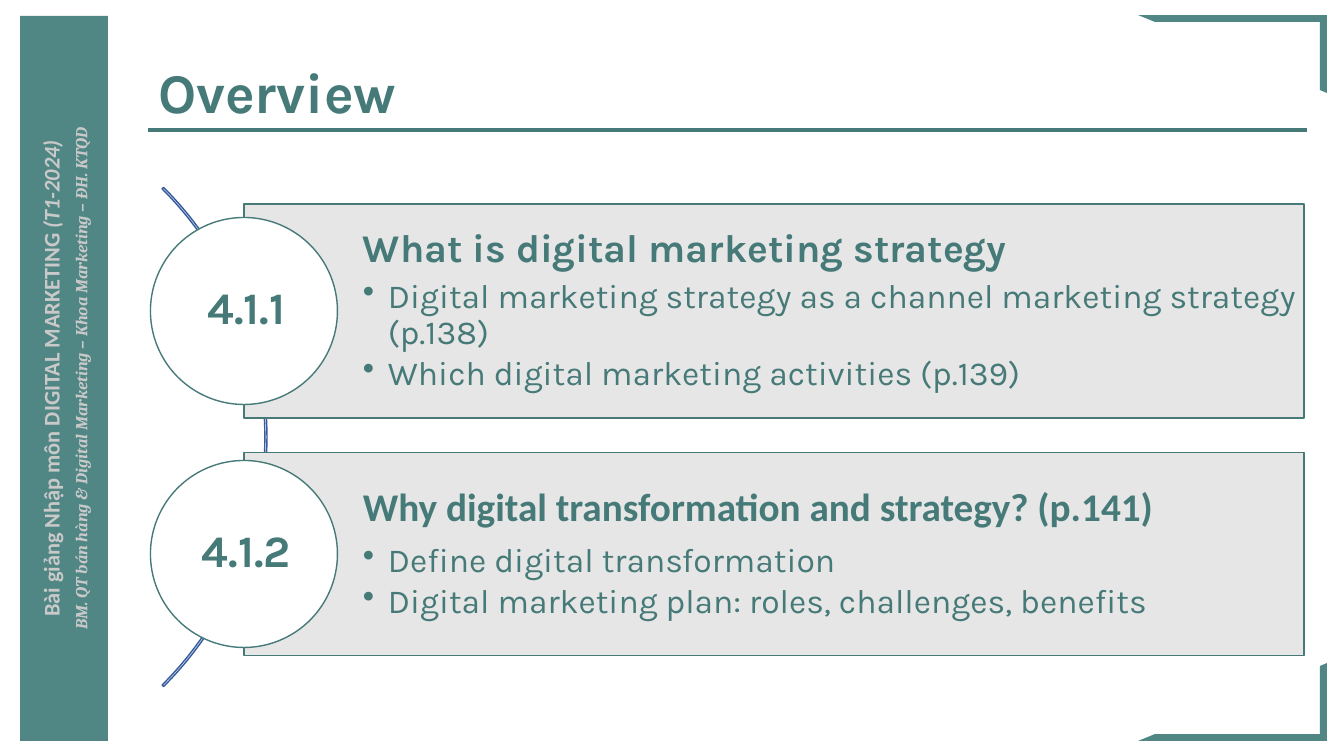
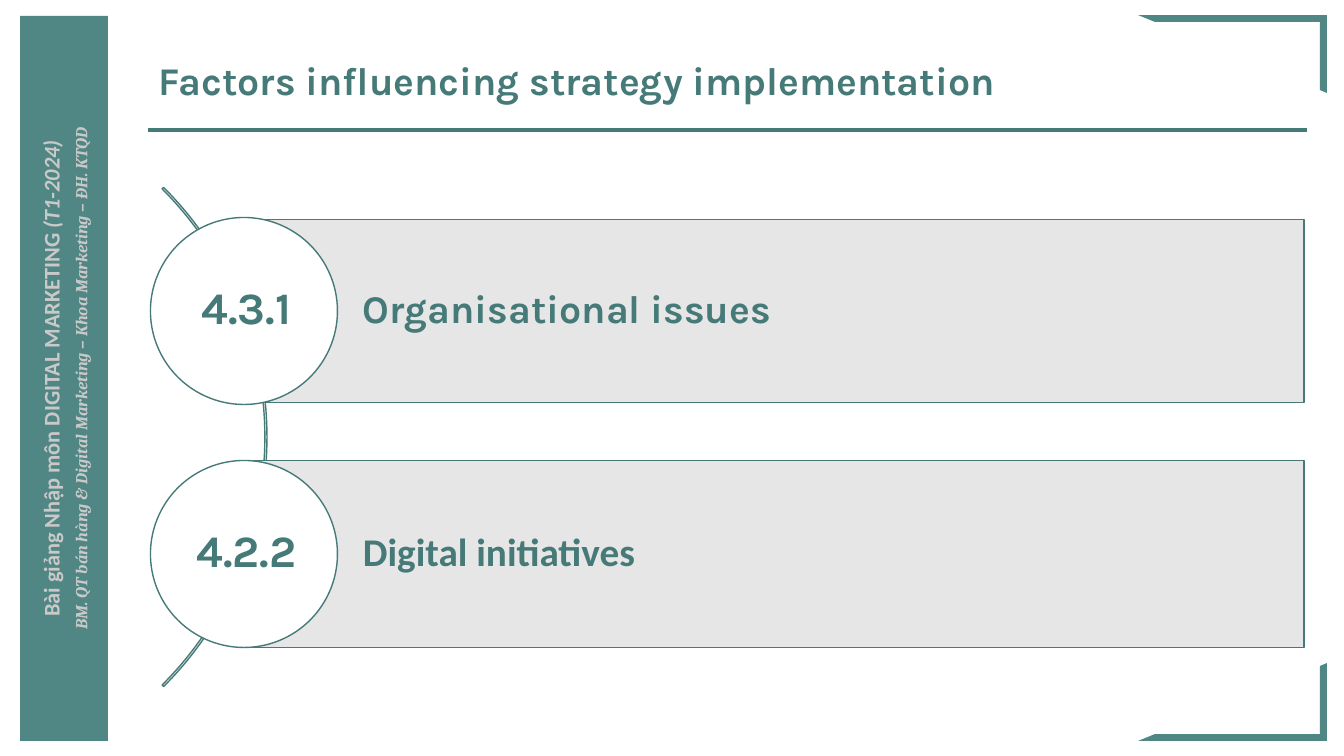
from dataclasses import dataclass

from lxml.etree import SubElement
from pptx import Presentation
from pptx.dml.color import RGBColor
from pptx.enum.shapes import MSO_CONNECTOR as Connector, MSO_SHAPE as Preset
from pptx.enum.text import MSO_ANCHOR as Anchor, MSO_AUTO_SIZE as AutoSize, PP_ALIGN as Align
from pptx.oxml.ns import qn
from pptx.util import Emu, Pt

# Content
BAND_LINES = [
    [("Bài giảng Nhập môn DIGITAL MARKETING ", "Calibri", 16, False),
     ("(T1-2024)", "Calibri", 16, True)],
    [("BM. QT bán hàng & Digital Marketing – Khoa Marketing – ĐH. KTQD",
      "Cambria", 12, True)],
]
PAGES = [
    {"title": "Overview", "title_size": 40, "title_top": 37, "arc": "365B9D", "cards": [
        {"number": "4.1.1", "height": 214, "font": "Karla", "after": Pt(5.8),
         "heading": "What is digital marketing strategy",
         "bullets": ["Digital marketing strategy as a channel marketing strategy (p.138)",
                     "Which digital marketing activities (p.139)"]},
        {"number": "4.1.2", "height": 203, "font": "Calibri", "after": 0.35,
         "heading": "Why digital transformation and strategy? (p.141)",
         "bullets": ["Define digital transformation",
                     "Digital marketing plan: roles, challenges, benefits"]},
    ]},
    {"title": "Factors influencing strategy implementation", "title_size": 28,
     "title_top": 25, "arc": "467A78", "cards": [
         {"number": "4.3.1", "height": 183, "font": "Karla", "after": 0.35,
          "heading": "Organisational issues", "bullets": []},
         {"number": "4.2.2", "height": 187, "font": "Calibri", "after": 0.35,
          "heading": "Digital initiatives", "bullets": []},
     ]},
]


@dataclass(frozen=True)
class Theme:
    band: str = "508784"
    accent: str = "467A78"
    card: str = "E7E6E6"
    white: str = "FFFFFF"
    band_text: str = "C9C9C9"
    font: str = "Karla"
    heading_size: int = 28
    bullet_size: int = 24
    number_size: int = 32
    outline: float = 1
    rule: float = 2.25


THEME = Theme()

# Layout in px
PAGE_WIDTH, PAGE_HEIGHT = 1344, 756
CONTENT_LEFT, CONTENT_RIGHT = 148, 1307
RULE_TOP, TITLE_HEIGHT = 130, 116
CARD_LEFT, CARD_WIDTH = 244, 1060
CARD_CENTRES = [311, 554]
CARD_INSETS = (119, 8, 8, 8)
CIRCLE = 187
NUMBER_LEFT, NUMBER_RISE, NUMBER_WIDTH, NUMBER_HEIGHT = 179, 36, 135, 65
BULLET_INDENT = 25


def px(length):
    return Emu(round(length * 914400 / 100.8))


def rgb(colour):
    return RGBColor.from_string(colour)


def add_box(page, preset, place, fill=None, line=None, adjust=()):
    box = page.shapes.add_shape(preset, *map(px, place))
    box.shadow.inherit = False
    if fill:
        box.fill.solid()
        box.fill.fore_color.rgb = rgb(fill)
    else:
        box.fill.background()
    if line:
        box.line.color.rgb = rgb(line)
        box.line.width = Pt(THEME.outline)
    else:
        box.line.fill.background()
    for index, value in enumerate(adjust):
        box.adjustments[index] = value
    return box


def next_para(frame):
    return frame.add_paragraph() if frame.text else frame.paragraphs[0]


def write(para, text, font=THEME.font, size=THEME.heading_size, colour=THEME.accent,
          bold=True, italic=False, align=Align.LEFT, leading=None, after=None, bullet=False):
    """Add one span; after is a length or a share of the line."""
    if bullet:
        para.level = 1
        props = para._p.get_or_add_pPr()
        props.set("marL", str(px(BULLET_INDENT)))
        props.set("indent", str(-px(BULLET_INDENT)))
        SubElement(props, qn("a:buChar")).set("char", "•")
    para.alignment = align
    if leading:
        para.line_spacing = leading
    if isinstance(after, float):
        para.space_after = Pt(0)
        spacing = para._p.pPr.find(qn("a:spcAft"))
        spacing.remove(spacing[0])
        SubElement(spacing, qn("a:spcPct")).set("val", str(round(after * 100000)))
    elif after is not None:
        para.space_after = after
    span = para.add_run()
    span.text = text
    span.font.name, span.font.size = font, Pt(size)
    span.font.bold, span.font.italic = bold, italic
    span.font.color.rgb = rgb(colour)


def add_shared_parts(page, layout):
    """Draw band, corners and title rule, then hand them to the layout."""
    # Side band
    band = add_box(page, Preset.RECTANGLE, (20, 16, 88, 725), THEME.band)
    frame = band.text_frame
    frame.word_wrap = True
    frame.vertical_anchor = Anchor.MIDDLE
    frame._txBody.bodyPr.set("vert", "vert270")
    for index, spans in enumerate(BAND_LINES):
        para = next_para(frame)
        if index:
            para.space_before = Pt(4.5)
        for text, font, size, italic in spans:
            write(para, text, font=font, size=size, italic=italic,
                  colour=THEME.band_text, align=Align.CENTER)

    # Corner frames
    bottom, top = [add_box(page, Preset.HALF_FRAME, (1138, y, 189, 78), THEME.band,
                           adjust=(0.09, 0.093)) for y in (663, 15)]
    bottom.rotation = 180
    top.element.spPr.get_or_add_xfrm().set("flipH", "1")

    # Title rule
    rule = page.shapes.add_connector(Connector.STRAIGHT, px(CONTENT_LEFT), px(RULE_TOP),
                                     px(CONTENT_RIGHT), px(RULE_TOP))
    rule.line.color.rgb = rgb(THEME.accent)
    rule.line.width = Pt(THEME.rule)
    SubElement(rule.element.spPr, qn("a:effectLst"))

    for number, part in enumerate((band, bottom, top, rule), start=20):
        part.element.xpath(".//p:cNvPr")[0].set("id", str(number))
        layout.shapes.element.append(part.element)


def add_title(page, text, size, top):
    title = page.shapes.title
    title.left, title.top = px(CONTENT_LEFT), px(top)
    title.width, title.height = px(CONTENT_RIGHT - CONTENT_LEFT), px(TITLE_HEIGHT)
    frame = title.text_frame
    frame.word_wrap = True
    frame.auto_size = AutoSize.NONE
    frame.vertical_anchor = Anchor.MIDDLE
    write(next_para(frame), text, size=size, leading=0.9)


def add_card(page, centre, card):
    # Panel with heading and bullets
    height = card["height"]
    panel = add_box(page, Preset.RECTANGLE,
                    (CARD_LEFT, centre - height / 2, CARD_WIDTH, height),
                    THEME.card, THEME.accent)
    frame = panel.text_frame
    frame.word_wrap = True
    frame.vertical_anchor = Anchor.MIDDLE
    (frame.margin_left, frame.margin_top,
     frame.margin_right, frame.margin_bottom) = map(px, CARD_INSETS)
    write(next_para(frame), card["heading"], font=card["font"], leading=0.9,
          after=card["after"])
    for text in card["bullets"]:
        write(next_para(frame), text, size=THEME.bullet_size, bold=False,
              leading=0.9, after=0.15, bullet=True)

    # Numbered circle on the panel's left edge
    add_box(page, Preset.OVAL,
            (CARD_LEFT - CIRCLE / 2, centre - CIRCLE / 2, CIRCLE, CIRCLE),
            THEME.white, THEME.accent)


def add_number(page, centre, text):
    label = page.shapes.add_textbox(px(NUMBER_LEFT), px(centre - NUMBER_RISE),
                                    px(NUMBER_WIDTH), px(NUMBER_HEIGHT))
    frame = label.text_frame
    frame.word_wrap = True
    frame.auto_size = AutoSize.SHAPE_TO_FIT_TEXT
    write(next_para(frame), text, size=THEME.number_size, align=Align.CENTER)


def main():
    deck = Presentation()
    deck.slide_width, deck.slide_height = px(PAGE_WIDTH), px(PAGE_HEIGHT)
    layout = deck.slide_layouts[5]
    for index, content in enumerate(PAGES):
        page = deck.slides.add_slide(layout)
        if index == 0:
            add_shared_parts(page, layout)
        add_title(page, content["title"], content["title_size"], content["title_top"])
        add_box(page, Preset.BLOCK_ARC, (-439, 84, 706, 706), line=content["arc"],
                adjust=(189, 27, 0.003))
        for centre, card in zip(CARD_CENTRES, content["cards"]):
            add_card(page, centre, card)
        for centre, card in zip(CARD_CENTRES, content["cards"]):
            add_number(page, centre, card["number"])
    deck.save("out.pptx")


if __name__ == "__main__":
    main()
